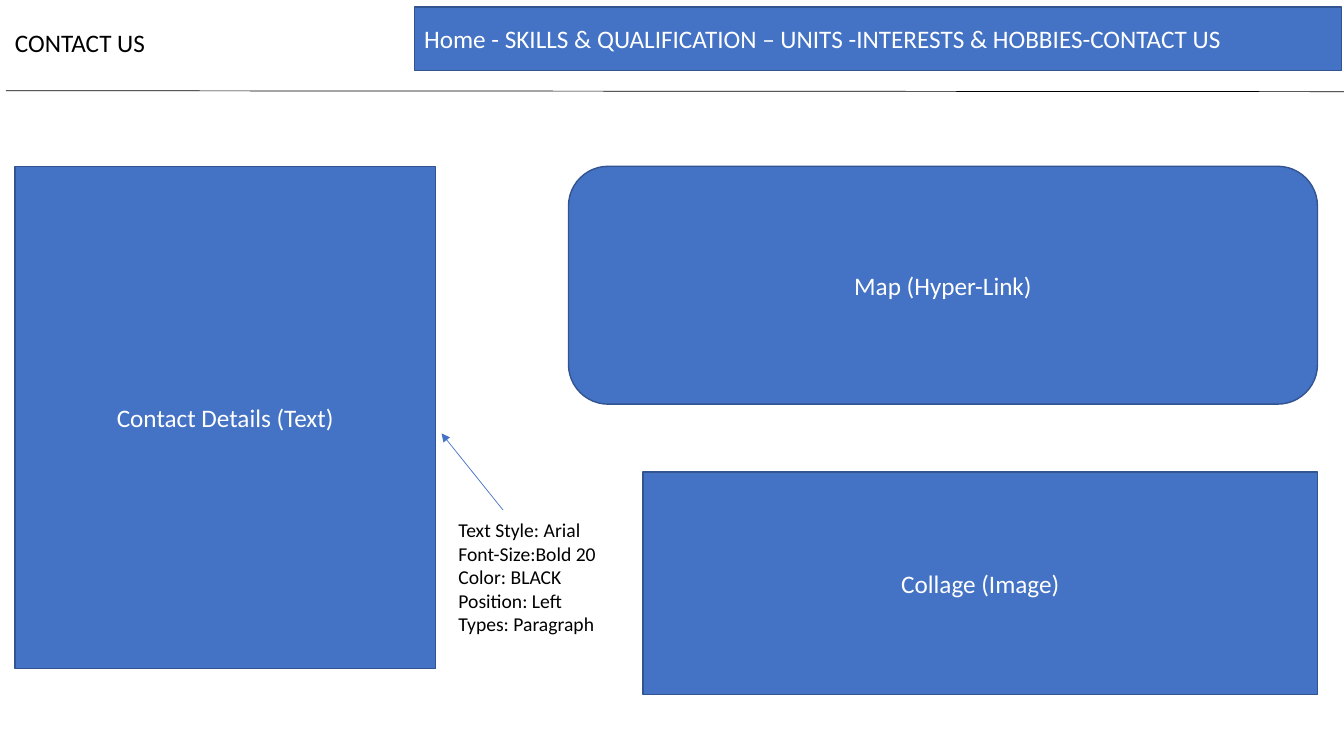
from lxml.etree import SubElement
from pptx import Presentation
from pptx.dml.color import RGBColor
from pptx.enum.shapes import MSO_CONNECTOR, MSO_SHAPE
from pptx.enum.text import MSO_ANCHOR, PP_ALIGN
from pptx.oxml.ns import qn
from pptx.util import Pt

BLUE = RGBColor(0x44, 0x72, 0xC4)
DARK_BLUE = RGBColor(0x32, 0x54, 0x91)
BLACK = RGBColor(0, 0, 0)
WHITE = RGBColor(0xFF, 0xFF, 0xFF)

NAVIGATION = "Home -\u00a0SKILLS & QUALIFICATION – UNITS -INTERESTS & HOBBIES-CONTACT US"
STYLE_NOTES = [
    "Text Style: Arial",
    "Font-Size:Bold 20",
    "Color: BLACK",
    "Position: Left",
    "Types: Paragraph",
]


def write_text(tf, lines, size, color, align=PP_ALIGN.LEFT):
    tf.word_wrap = True
    for i, line in enumerate(lines):
        p = tf.paragraphs[0] if i == 0 else tf.add_paragraph()
        p.alignment = align
        r = p.add_run()
        r.text = line
        for name, value in {"name": "Calibri", "size": Pt(size)}.items():
            setattr(r.font, name, value)
        r.font.color.rgb = color


def add_label(s, box, lines, size):
    sp = s.shapes.add_textbox(*map(Pt, box))
    write_text(sp.text_frame, lines, size, BLACK)


def add_block(s, kind, box, text, align=PP_ALIGN.CENTER):
    sp = s.shapes.add_shape(kind, *map(Pt, box))
    sp.shadow.inherit = False
    sp.fill.solid()
    sp.fill.fore_color.rgb = BLUE
    sp.line.color.rgb = DARK_BLUE
    sp.line.width = Pt(1)
    sp.text_frame.vertical_anchor = MSO_ANCHOR.MIDDLE
    write_text(sp.text_frame, [text], 18, WHITE, align)


def add_line(s, start, end, color, arrow=False):
    sp = s.shapes.add_connector(MSO_CONNECTOR.STRAIGHT, *map(Pt, start + end))
    sp.line.color.rgb = color
    sp.line.width = Pt(0.5)
    if arrow:
        SubElement(sp.line._get_or_add_ln(), qn("a:tailEnd"), type="triangle")
    SubElement(sp._element.spPr, qn("a:effectLst"))


def main():
    prs = Presentation()
    prs.slide_width, prs.slide_height = Pt(960), Pt(540)
    s = prs.slides.add_slide(prs.slide_layouts[6])

    # Header: page title, rule and navigation bar
    add_label(s, (3.6, 15.9, 281, 29), ["CONTACT US"], 18)
    add_line(s, (4.3, 64.8), (964.8, 65.5), BLACK)
    add_block(s, MSO_SHAPE.RECTANGLE, (295.9, 5, 662.4, 45.4), NAVIGATION, PP_ALIGN.LEFT)

    # Content areas
    add_block(s, MSO_SHAPE.RECTANGLE, (10.8, 118.8, 300.2, 358.6), "Contact Details (Text)")
    add_block(s, MSO_SHAPE.RECTANGLE, (459.4, 337, 481.7, 159.1), "Collage (Image)")
    add_block(s, MSO_SHAPE.ROUNDED_RECTANGLE, (406.1, 118.8, 535, 169.9), "Map (Hyper-Link)")

    # Style notes pointing at the contact details
    add_label(s, (320.4, 366.5, 216, 92.2), STYLE_NOTES, 14)
    add_line(s, (359.3, 364.3), (315.4, 309.6), BLUE, arrow=True)

    prs.save("out.pptx")


if __name__ == "__main__":
    main()
